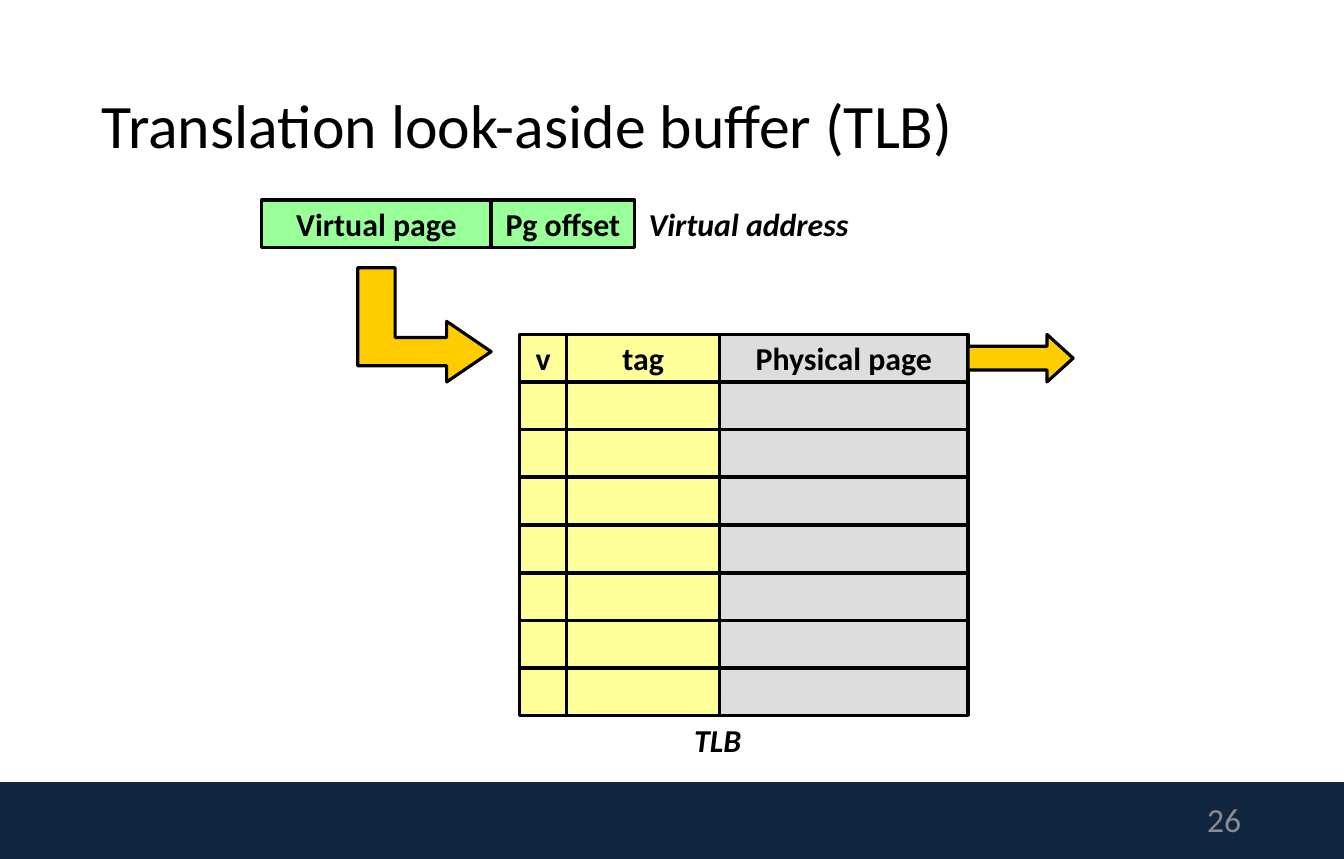
from dataclasses import dataclass

from pptx import Presentation
from pptx import util as u
from pptx.dml.color import RGBColor
from pptx.enum import shapes, text

PX = 9144


@dataclass(frozen=True)
class Theme:
    font: str = "Calibri"
    ink: str = "000000"
    footer: str = "10253F"
    number: str = "8C8C8C"
    address: str = "99FF99"
    entry: str = "FFFF99"
    physical: str = "DDDDDD"
    arrow: str = "FFCC00"
    title_size: float = 44
    number_size: float = 24
    label_size: float = 22.7
    outline: float = 2.25


class SlideBuilder:
    def __init__(self, page, theme):
        self.page = page
        self.theme = theme

    def paint(self, shape, fill, outlined=True):
        shape.shadow.inherit = False
        shape.fill.solid()
        shape.fill.fore_color.rgb = RGBColor.from_string(fill)
        if outlined:
            shape.line.color.rgb = RGBColor.from_string(self.theme.ink)
            shape.line.width = u.Pt(self.theme.outline)
        else:
            shape.line.fill.background()

    def add_words(self, shape, words, size, color, align, bold=False, italic=False, wrap=False):
        frame = shape.text_frame
        frame.word_wrap = wrap
        frame.vertical_anchor = text.MSO_ANCHOR.MIDDLE
        para = frame.paragraphs[0]
        para.alignment = align
        span = para.add_run()
        span.text = words
        span.font.name = self.theme.font
        span.font.size = u.Pt(size)
        span.font.bold = bold
        span.font.italic = italic
        span.font.color.rgb = RGBColor.from_string(color)
        return para

    def preset(self, kind, left, top, width, height, fill, outlined=True):
        shape = self.page.shapes.add_shape(
            kind, left * PX, top * PX, width * PX, height * PX)
        self.paint(shape, fill, outlined)
        return shape

    def cell(self, left, top, width, height, fill, words=""):
        box = self.preset(shapes.MSO_SHAPE.RECTANGLE, left, top, width, height, fill)
        if words:
            self.add_words(box, words, self.theme.label_size, self.theme.ink,
                           text.PP_ALIGN.CENTER, bold=True)
            frame = box.text_frame
            frame.margin_left = frame.margin_right = 11 * PX
            frame.margin_top = frame.margin_bottom = 6 * PX

    def text_box(self, left, top, width, height, words, size, color,
                 align=text.PP_ALIGN.LEFT, **style):
        box = self.page.shapes.add_textbox(left * PX, top * PX, width * PX, height * PX)
        return self.add_words(box, words, size, color, align, **style)

    def caption(self, left, top, width, height, words):
        self.text_box(left, top, width, height, words, self.theme.label_size,
                      self.theme.ink, bold=True, italic=True)

    def outline(self, points, fill):
        builder = self.page.shapes.build_freeform(*points[0], scale=PX)
        builder.add_line_segments(points[1:], close=True)
        self.paint(builder.convert_to_shape(), fill)


def main():
    deck = Presentation()
    deck.slide_width = 1330 * PX
    deck.slide_height = 850 * PX
    theme = Theme()
    slide = SlideBuilder(deck.slides.add_slide(deck.slide_layouts[6]), theme)

    slide.preset(shapes.MSO_SHAPE.RECTANGLE, 0, 774, 1330, 76, theme.footer, outlined=False)
    title = slide.text_box(91, 45, 1147, 164, "Translation look-aside buffer (TLB)",
                           theme.title_size, theme.ink, wrap=True)
    title.line_spacing = 0.9
    slide.text_box(939, 788, 299, 45, "26", theme.number_size, theme.number,
                   text.PP_ALIGN.RIGHT, wrap=True)

    slide.cell(259, 198, 227, 47, theme.address, "Virtual page")
    slide.cell(486, 198, 142, 47, theme.address, "Pg offset")
    slide.caption(632, 197, 220, 48, "Virtual address")

    slide.outline([(486, 348), (442, 318), (442, 334), (391, 334), (391, 265),
                   (354, 265), (354, 362), (442, 362), (442, 378)], theme.arrow)

    columns = [(514, 47, theme.entry, "v"),
               (561, 151, theme.entry, "tag"),
               (712, 246, theme.physical, "Physical page")]
    table_top, row_count, last_row_offset = 331, 8, 330
    for row in range(row_count):
        top = table_top + round(row * last_row_offset / (row_count - 1))
        for left, width, fill, heading in columns:
            slide.cell(left, top, width, 47, fill, heading if row == 0 else "")
    slide.caption(677, 708, 67, 48, "TLB")

    result_arrow = slide.preset(shapes.MSO_SHAPE.RIGHT_ARROW, 958, table_top, 104, 47, theme.arrow)
    result_arrow.adjustments[0] = 0.5
    result_arrow.adjustments[1] = 0.55

    deck.save("out.pptx")


if __name__ == "__main__":
    main()
